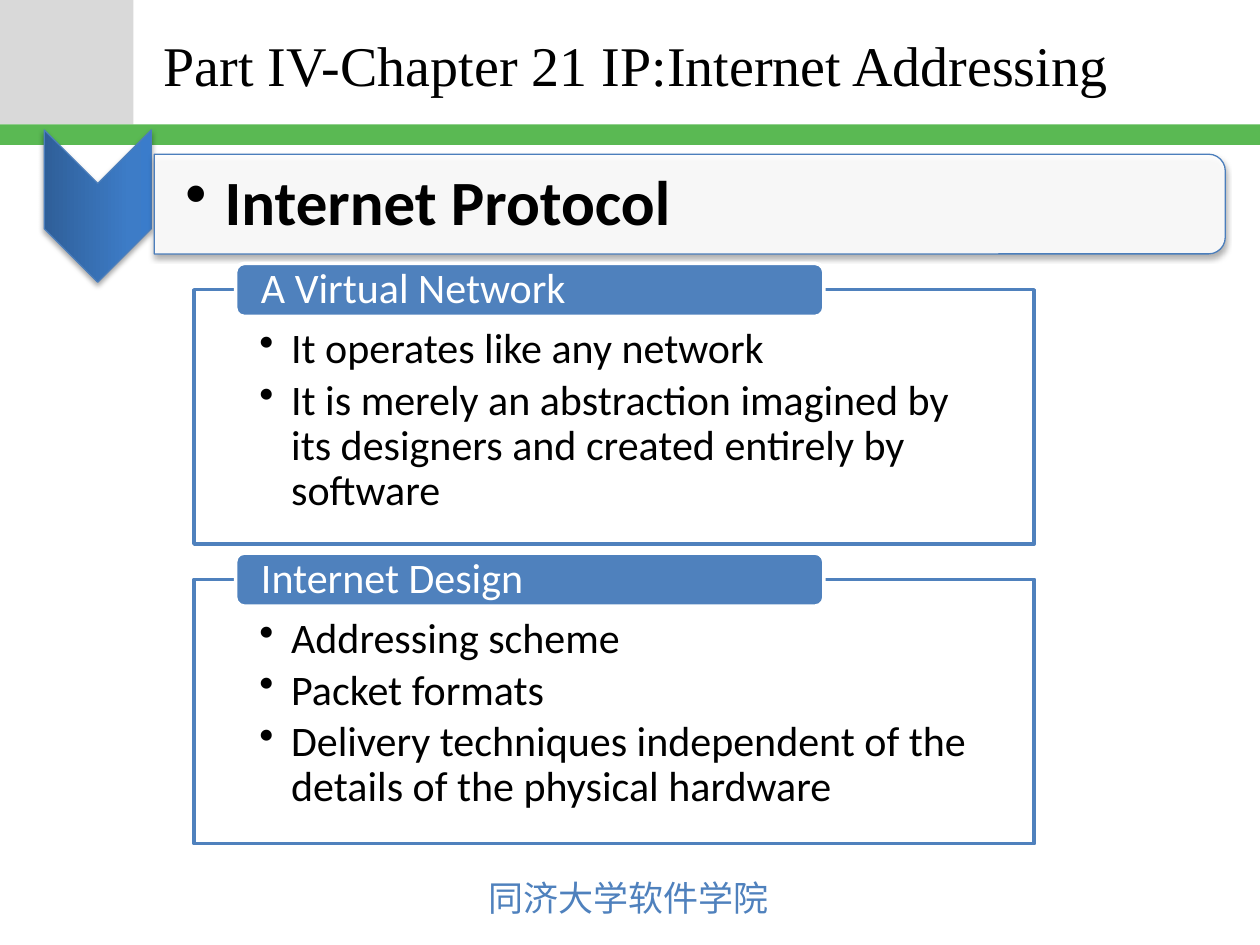
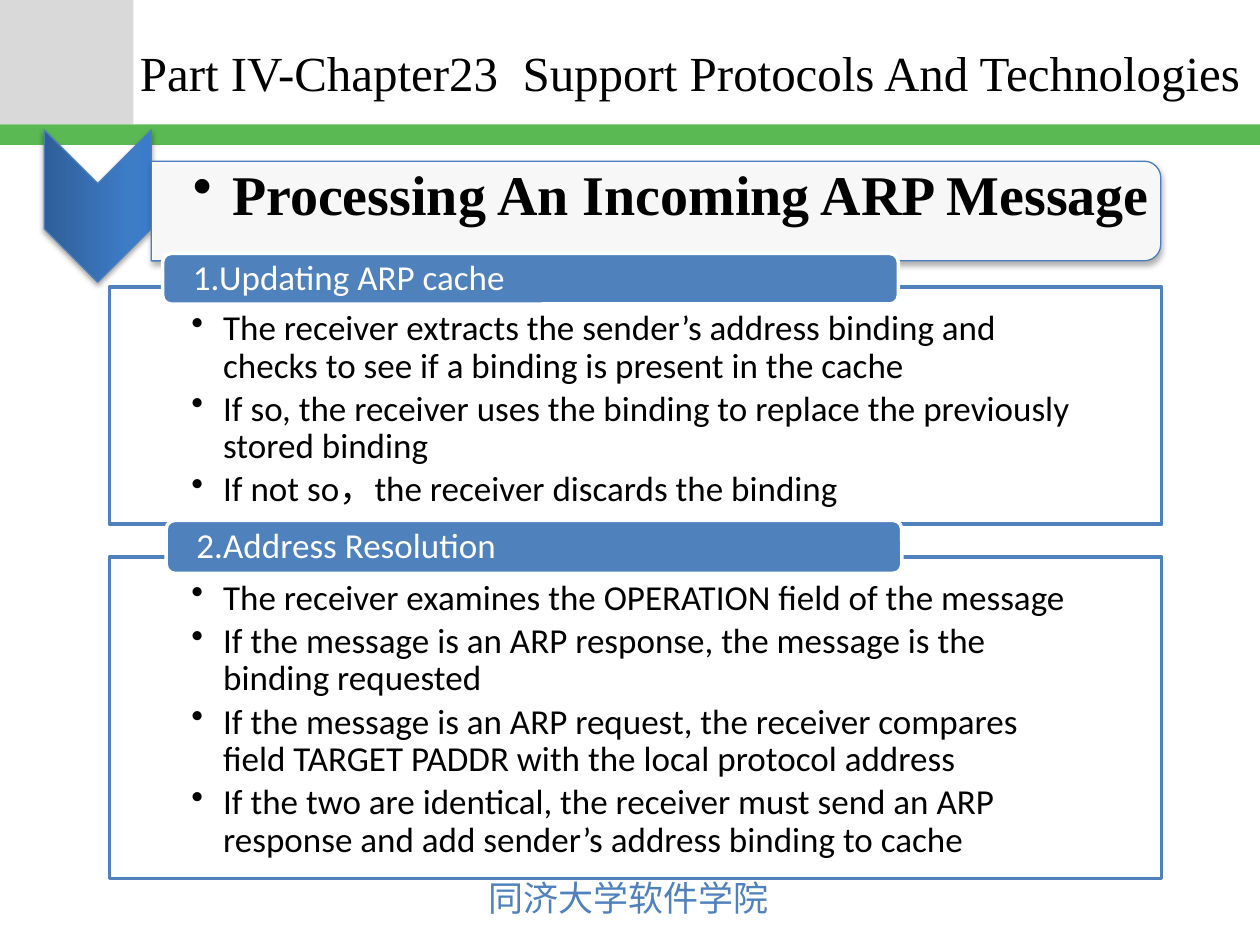
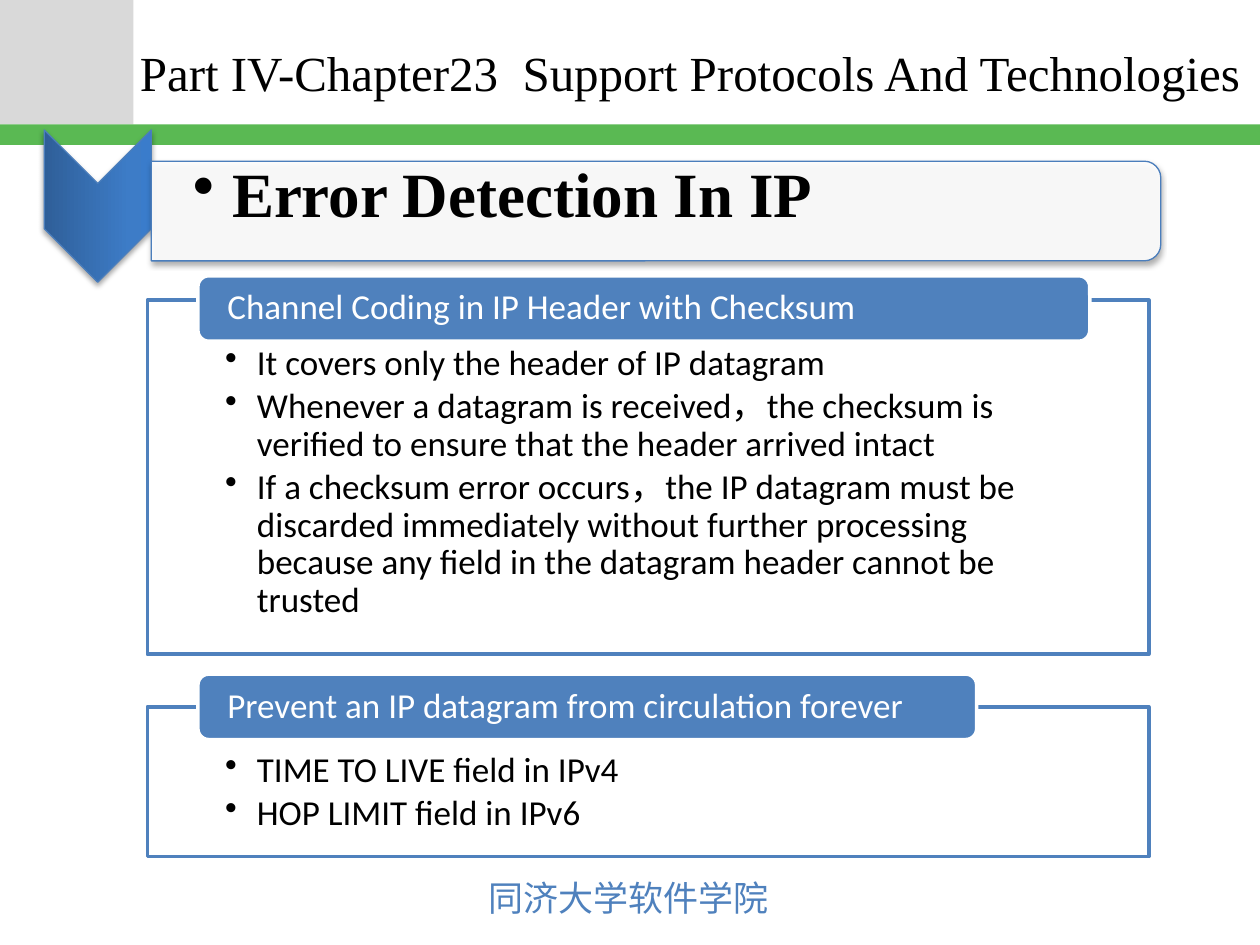
from copy import deepcopy
from dataclasses import dataclass

from lxml import etree
from pptx import Presentation
from pptx.dml.color import RGBColor
from pptx.enum.shapes import MSO_SHAPE
from pptx.enum.text import MSO_ANCHOR, PP_ALIGN
from pptx.oxml.ns import qn
from pptx.util import Cm, Pt

RECT = MSO_SHAPE.RECTANGLE
ROUND = MSO_SHAPE.ROUNDED_RECTANGLE
TAB = MSO_SHAPE.ROUND_2_SAME_RECTANGLE
ARROW = MSO_SHAPE.CHEVRON
TOP, MIDDLE = MSO_ANCHOR.TOP, MSO_ANCHOR.MIDDLE
LEFT = PP_ALIGN.LEFT

BLACK, WHITE, GREY, GREEN = "000000", "FFFFFF", "D9D9D9", "5AB953"
BLUE, EDGE = "4F81BD", "4B7EBC"
BLEND = ((0, "2F5F99"), (0.8, "3D7CC7"), (1, "3A7CCB"))
SANS, SERIF, ASIAN = "Calibri", "Times New Roman", "Noto Sans CJK JP"
SCHOOL = "同济大学软件学院"


@dataclass(frozen=True)
class Box:
    left: float
    top: float
    width: float
    height: float


@dataclass(frozen=True)
class Panel:
    frame: Box
    chip: Box
    label: str
    items: tuple[str, ...]


@dataclass(frozen=True)
class Style:
    title: Box
    points: int
    bar: Box
    head: Box


@dataclass(frozen=True)
class Page:
    style: Style
    title: str
    topic: str
    font: str
    points: int
    body: int
    side: float
    drop: float
    nudge: float
    panels: tuple[Panel, ...]


WIDE = Style(Box(3.05, 0.05, 21.84, 2.49), 32,
             Box(3.11, 3.11, 21.59, 2.01), Box(3.1, 3.23, 21.51, 1.8))
TIGHT = Style(Box(2.57, 0.2, 23.85, 2.49), 28,
              Box(3.05, 3.25, 20.35, 2.01), Box(3.25, 3.07, 20.27, 1.8))
SUPPORT = "Part IV-Chapter23  Support Protocols And Technologies"

PAGES = (
    Page(WIDE, "Part IV-Chapter 21 IP:Internet Addressing",
         "Internet Protocol", SANS, 36, 24, 1.32, 0.76, 0.46, (
             Panel(Box(3.91, 5.84, 16.94, 5.13), Box(4.75, 5.31, 11.86, 1.07),
                   "A Virtual Network", (
                       "It operates like any network",
                       "It is merely an abstraction imagined by its designers "
                       "and created entirely by software")),
             Panel(Box(3.91, 11.68, 16.94, 5.33), Box(4.75, 11.15, 11.86, 1.07),
                   "Internet Design", (
                       "Addressing scheme",
                       "Packet formats",
                       "Delivery techniques independent of the details of the "
                       "physical hardware")))),
    Page(TIGHT, SUPPORT,
         "Processing An Incoming ARP Message", SERIF, 32, 20, 1.65, 0.46, 0.56, (
             Panel(Box(2.21, 5.79, 21.21, 4.78), Box(3.28, 5.11, 14.83, 1.02),
                   "1.Updating ARP cache", (
                       "The receiver extracts the sender’s address binding and "
                       "checks to see if a binding is present in the cache",
                       "If so, the receiver uses the binding to replace the "
                       "previously stored binding",
                       "If not so，the receiver discards the binding")),
             Panel(Box(2.21, 11.23, 21.21, 6.48), Box(3.35, 10.49, 14.83, 1.07),
                   "2.Address Resolution", (
                       "The receiver examines the OPERATION field of the message",
                       "If the message is an ARP response, the message is the "
                       "binding requested",
                       "If the message is an ARP request, the receiver compares "
                       "field TARGET PADDR with the local protocol address",
                       "If the two are identical, the receiver must send an ARP "
                       "response and add sender’s address binding to cache")))),
    Page(TIGHT, SUPPORT,
         "Error Detection In IP", SERIF, 36, 20, 1.57, 0.91, 0.53, (
             Panel(Box(2.97, 6.05, 20.19, 7.14), Box(3.99, 5.56, 17.98, 1.32),
                   "Channel Coding in IP Header with Checksum", (
                       "It covers only the header of IP datagram",
                       "Whenever a datagram is received，the checksum is "
                       "verified to ensure that the header arrived intact",
                       "If a checksum error occurs，the IP datagram must be "
                       "discarded immediately without further processing "
                       "because any field in the datagram header cannot be "
                       "trusted")),
             Panel(Box(2.97, 14.25, 20.19, 3.02), Box(3.99, 13.59, 15.7, 1.32),
                   "Prevent an IP datagram from circulation forever", (
                       "TIME TO LIVE field in IPv4",
                       "HOP LIMIT field in IPv6")))),
)


def paint(color: str) -> RGBColor:
    return RGBColor.from_string(color)


def place(box: Box) -> tuple[Cm, Cm, Cm, Cm]:
    return Cm(box.left), Cm(box.top), Cm(box.width), Cm(box.height)


def turn(box: Box) -> Box:
    shift = (box.width - box.height) / 2
    return Box(box.left + shift, box.top - shift, box.height, box.width)


def draw(slide, kind, box: Box, fill: str, line: str = "", weight: float = 2,
         clear: bool = False):
    shape = slide.shapes.add_shape(kind, *place(box))
    shape.shadow.inherit = False
    shape.fill.solid()
    shape.fill.fore_color.rgb = paint(fill)
    if clear:
        tint = shape._element.spPr.find(qn("a:solidFill"))[0]
        etree.SubElement(tint, qn("a:alpha"), val="90000")
    if line:
        shape.line.color.rgb = paint(line)
        shape.line.width = Pt(weight)
    else:
        shape.line.fill.background()
    return shape


def shade(shape) -> None:
    effects = shape._element.spPr.find(qn("a:effectLst"))
    cast = etree.SubElement(effects, qn("a:outerShdw"), blurRad="40000",
                            dist="23000", dir="5400000", rotWithShape="0")
    tint = etree.SubElement(cast, qn("a:srgbClr"), val=BLACK)
    etree.SubElement(tint, qn("a:alpha"), val="35000")


def blend(shape) -> None:
    shape.fill.gradient()
    shape.fill.gradient_angle = 90
    stops = shape._element.spPr.find(".//" + qn("a:gsLst"))
    stops.append(deepcopy(stops[-1]))
    for stop, (spot, color) in zip(shape.fill.gradient_stops, BLEND):
        stop.position = spot
        stop.color.rgb = paint(color)


def write(shape, *lines: str, size: int, font: str = SANS, color: str = BLACK,
          bold: bool = False, anchor=MIDDLE, wrap: bool = True,
          inset: tuple[float, ...] = (0.25, 0.13, 0.25, 0.13),
          hang: float = 0, gap: float = 0, lead: float = 1) -> None:
    frame = shape.text_frame
    frame.word_wrap = wrap
    frame.vertical_anchor = anchor
    (frame.margin_left, frame.margin_top,
     frame.margin_right, frame.margin_bottom) = map(Cm, inset)
    for place_no, line in enumerate(lines):
        para = frame.add_paragraph() if place_no else frame.paragraphs[0]
        para.alignment = LEFT
        if hang:
            props = para._p.get_or_add_pPr()
            props.set("marL", str(Cm(hang)))
            props.set("indent", str(-Cm(hang)))
            etree.SubElement(props, qn("a:buChar"), char="•")
        para.line_spacing = lead
        para.space_after = Pt(size * gap)
        run = para.add_run()
        run.text = line
        run.font.size = Pt(size)
        run.font.name = font
        run.font.bold = bold
        run.font.color.rgb = paint(color)
        latin = run._r.rPr.find(qn("a:latin"))
        latin.addnext(latin.makeelement(qn("a:ea"), {"typeface": ASIAN}))


def label(slide, box: Box, *lines: str, **style) -> None:
    write(slide.shapes.add_textbox(*place(box)), *lines, **style)


def base(slide) -> None:
    draw(slide, RECT, Box(0, 0, 2.69, 2.51), GREY)
    draw(slide, RECT, Box(0, 2.51, 25.4, 0.41), GREEN)
    label(slide, Box(9.6, 17.53, 6.22, 1.12), SCHOOL, size=20, font=ASIAN,
          color=BLUE, wrap=False, anchor=TOP)


def banner(slide, page: Page) -> None:
    style = page.style
    label(slide, style.title, page.title, size=style.points, font=SERIF)
    arrow = draw(slide, ARROW, turn(Box(0.89, 2.62, 2.16, 3.07)), BLUE, EDGE, 0.75)
    blend(arrow)
    bar = draw(slide, TAB, turn(style.bar), WHITE, EDGE, 0.75, clear=True)
    for shape in (arrow, bar):
        shape.rotation = 90
        shade(shape)
    label(slide, style.head, page.topic, size=page.points, font=page.font,
          bold=True, inset=(0.64, 0.05, 0.05, 0.05), hang=0.79, lead=0.9)


def fill(slide, page: Page, panel: Panel) -> None:
    frame = draw(slide, RECT, panel.frame, WHITE, BLUE, clear=True)
    write(frame, *panel.items, size=page.body, anchor=TOP, hang=0.64,
          gap=0.15, lead=0.9, inset=(page.side, page.drop, page.side, 0.4))
    chip = draw(slide, ROUND, panel.chip, BLUE, WHITE)
    write(chip, panel.label, size=page.body, color=WHITE, lead=0.9,
          inset=(page.nudge, 0, page.nudge, 0))


def main() -> None:
    deck = Presentation()
    deck.slide_width, deck.slide_height = Cm(25.4), Cm(19.05)
    for page in PAGES:
        slide = deck.slides.add_slide(deck.slide_layouts[6])
        base(slide)
        banner(slide, page)
        for panel in page.panels:
            fill(slide, page, panel)
    deck.save("out.pptx")


if __name__ == "__main__":
    main()
